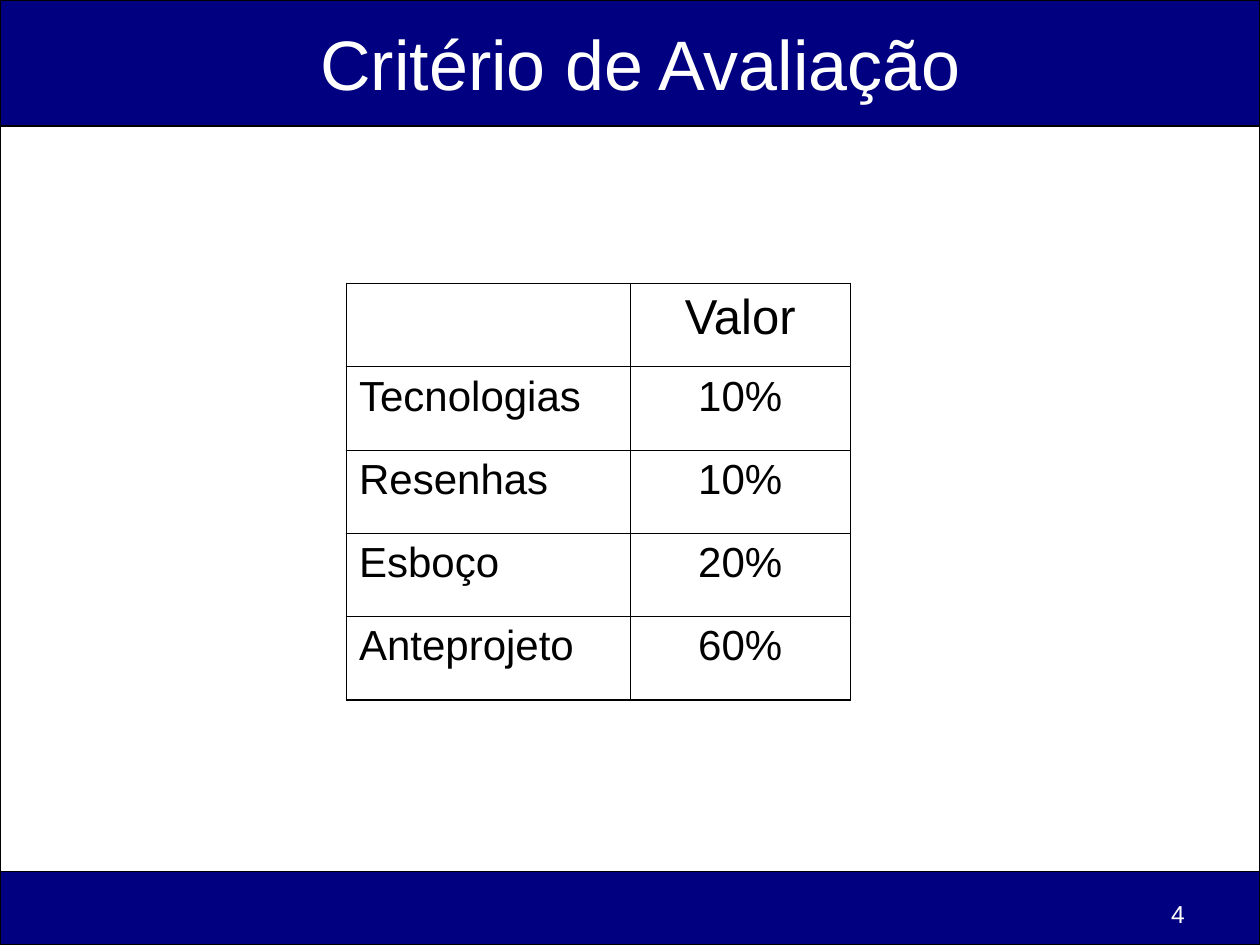
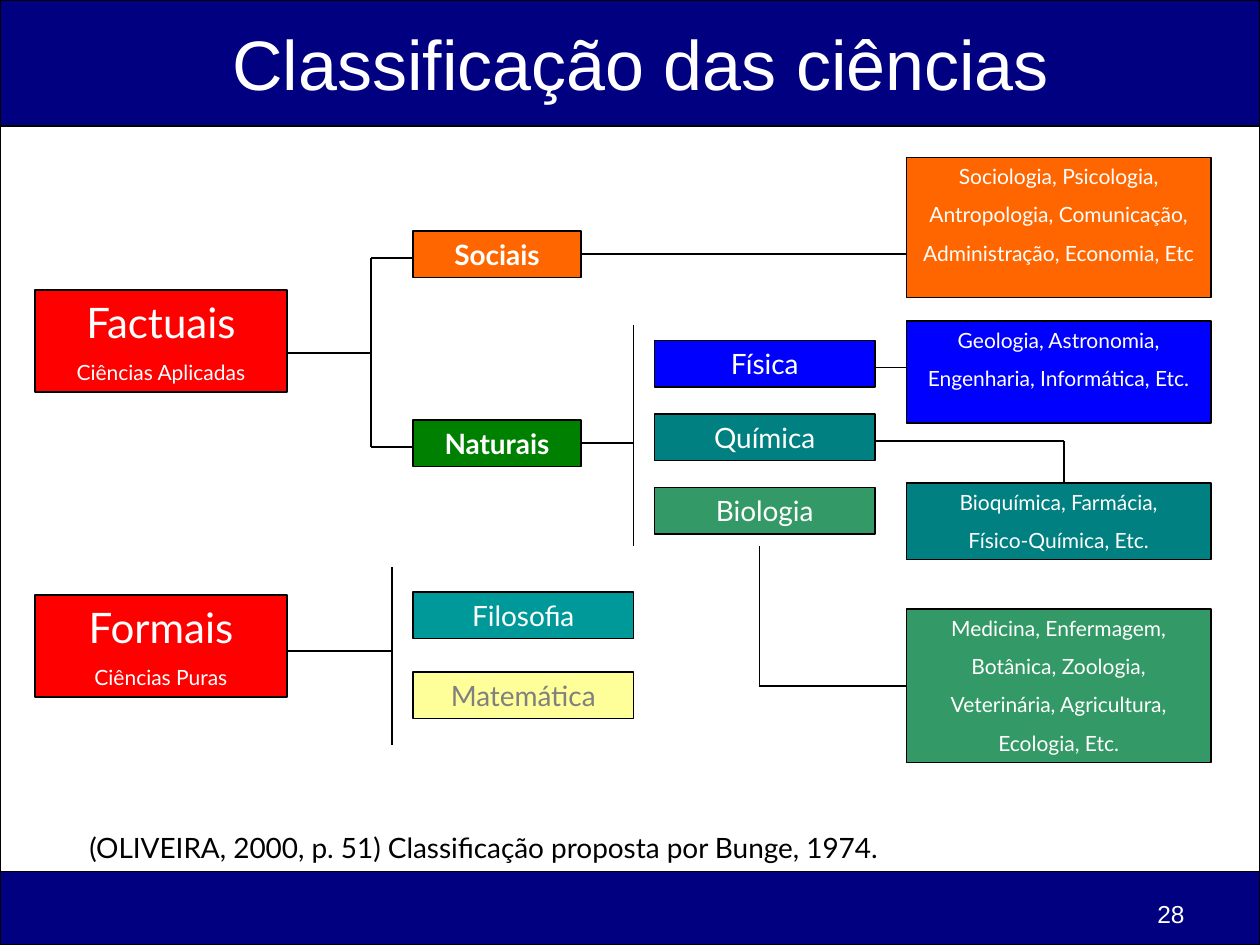
from lxml import etree
from pptx import Presentation
from pptx import util as u
from pptx.dml import color
from pptx.enum import shapes, text
from pptx.oxml import ns

Pt = u.Pt
WIDE, HIGH = 720, 540
NAVY, WHITE, BLACK = "000080", "FFFFFF", "000000"
RED, AMBER, BLUE = "FF0000", "FF6600", "0000FF"
GREEN, TEAL, AQUA, MOSS = "008000", "008080", "009999", "339966"
LEMON, GRAY = "FFFF99", "808080"
HEAD, BODY = "Arial", "Lato"
LEFT, MID, RIGHT = text.PP_ALIGN.LEFT, text.PP_ALIGN.CENTER, text.PP_ALIGN.RIGHT
TOP, CENTER = text.MSO_ANCHOR.TOP, text.MSO_ANCHOR.MIDDLE


def rgb(code):
    return color.RGBColor.from_string(code)


def write(frame, lines, face, ink, align=MID, bold=False, gap=0):
    """Fill a text frame; each line is a (words, size) pair."""
    for i, (words, size) in enumerate(lines):
        para = frame.add_paragraph() if i else frame.paragraphs[0]
        para.text = words
        para.alignment = align
        if i:
            para.space_before = Pt(gap)
        font = para.font
        font.name, font.size, font.bold = face, Pt(size), bold
        font.color.rgb = rgb(ink)


def rect(slide, box, fill):
    shape = slide.shapes.add_shape(shapes.MSO_SHAPE.RECTANGLE, *map(Pt, box))
    shape.shadow.inherit = False
    shape.fill.solid()
    shape.fill.fore_color.rgb = rgb(fill)
    shape.line.color.rgb = rgb(BLACK)
    shape.line.width = Pt(1)
    return shape


def label(slide, box, words, size, face, ink, align=MID, anchor=TOP):
    frame = slide.shapes.add_textbox(*map(Pt, box)).text_frame
    frame.word_wrap = True
    frame.vertical_anchor = anchor
    write(frame, [(words, size)], face, ink, align)


def base(deck, title, page):
    """Start a slide with its bands, title and page number."""
    slide = deck.slides.add_slide(deck.slide_layouts[6])
    head, foot = 72, 498
    rect(slide, (0, head, WIDE, foot - head), WHITE)
    rect(slide, (0, 0, WIDE, head), NAVY)
    rect(slide, (0, foot, WIDE, HIGH - foot), NAVY)
    label(slide, (78, 0, 576, head), title, 40, HEAD, WHITE, anchor=CENTER)
    label(slide, (516, foot + 12, 168, 19.5), str(page), 14, HEAD, WHITE, RIGHT)
    return slide


# Grade table

def edge(cell, side, width):
    line = etree.SubElement(cell._tc.get_or_add_tcPr(), ns.qn("a:ln" + side),
                            w=str(Pt(width)))
    fill = etree.SubElement(line, ns.qn("a:solidFill"))
    etree.SubElement(fill, ns.qn("a:srgbClr"), val=BLACK)


def grades(slide, box, cols, rows):
    table = slide.shapes.add_table(len(rows), len(cols), *map(Pt, box)).table
    table.first_row = table.horz_banding = False
    for col, width in zip(table.columns, cols):
        col.width = Pt(width)
    last, end = len(rows) - 1, len(cols) - 1
    for r, row in enumerate(rows):
        table.rows[r].height = Pt(box[3] / len(rows))
        for c, words in enumerate(row):
            cell = table.cell(r, c)
            outer = {"L": c == 0, "R": c == end, "T": r == 0, "B": r == last}
            for side, out in outer.items():
                edge(cell, side, 1.08 if out else 0.45)
            cell.fill.background()
            write(cell.text_frame, [(words, 24 if r else 28)], HEAD, BLACK,
                  MID if c else LEFT)


# Tree of sciences

def wire(slide, *points):
    """Join successive points with straight lines; return the last line."""
    for start, stop in zip(points, points[1:]):
        line = slide.shapes.add_connector(
            shapes.MSO_CONNECTOR.STRAIGHT, *map(Pt, start + stop))
        line.line.color.rgb = rgb(BLACK)
        line.line.width = Pt(1)
        etree.SubElement(line._element.spPr, ns.qn("a:effectLst"))
    return line


def tree(slide, box):
    left, top = box[:2]
    small = 26.6
    roots, kinds, fields, jobs = 0, 216, 354, 498  # column offsets

    def at(x, y):
        return left + x, top + y

    def node(x, y, w, h, fill, lines, ink=WHITE, bold=False):
        shape = rect(slide, (*at(x, y), w, h), fill)
        shape.text_frame.vertical_anchor = TOP
        write(shape.text_frame, lines, BODY, ink, bold=bold, gap=7.5)
        return shape

    def path(*points):
        return wire(slide, *(at(*p) for p in points))

    def middle(shape):
        return (shape.top + shape.height / 2) / Pt(1) - top

    # Roots
    for y, name, note in ((75.6, "Factuais", "Ciências Aplicadas"),
                          (250, "Formais", "Ciências Puras")):
        node(roots, y, 144, 58.3, RED, [(name, 24), (note, 12)])

    # Kinds of factual science
    social, nature = (
        node(kinds, y, 96, small, fill, [(name, 16)], bold=True)
        for y, fill, name in ((42, AMBER, "Sociais"), (150, GREEN, "Naturais")))

    # Formal sciences
    node(kinds, 248.4, 126, small, AQUA, [("Filosofia", 16)])
    node(kinds, 294, 126, small, LEMON, [("Matemática", 16)], GRAY)

    # Natural sciences
    for i, (fill, name) in enumerate(
            ((BLUE, "Física"), (TEAL, "Química"), (MOSS, "Biologia"))):
        node(fields, 104.6 + 42 * i, 126, small, fill, [(name, 16)])

    # Subjects
    groups = (
        (0, 80, AMBER, ("Sociologia, Psicologia,", "Antropologia, Comunicação,",
                        "Administração, Economia, Etc")),
        (93.5, 58.3, BLUE, ("Geologia, Astronomia,",
                            "Engenharia, Informática, Etc.")),
        (186, 43.7, TEAL, ("Bioquímica, Farmácia,", "Físico-Química, Etc.")),
        (258, 87.7, MOSS, ("Medicina, Enfermagem,", "Botânica, Zoologia,",
                           "Veterinária, Agricultura,", "Ecologia, Etc.")))
    for y, h, fill, lines in groups:
        life = node(jobs, y, 174, h, fill, [(words, 12) for words in lines])

    # Brackets
    path((144, 111.6), (192, 111.6))
    path((kinds, 57.6), (192, 57.6), (192, 165.6), (kinds, 165.6))
    path((144, 282), (204, 282))
    path((204, 234), (204, 336))
    path((342, 96), (342, 222))

    # Links to subjects
    path((480, 120), (jobs, 120))
    path((480, 162), (588, 162), (588, 186))
    for shape, stop in ((social, jobs), (nature, 342)):
        y = middle(shape)
        path((312, y), (stop, y)).begin_connect(shape, 3)
    y = middle(life)
    path((414, 222), (414, y), (jobs, y)).end_connect(life, 1)


def main():
    deck = Presentation()
    deck.slide_width, deck.slide_height = Pt(WIDE), Pt(HIGH)

    slide = base(deck, "Critério de Avaliação", 4)
    grades(slide, (198, 162, 288, 238), (162, 126), (
        ("", "Valor"), ("Tecnologias", "10%"), ("Resenhas", "10%"),
        ("Esboço", "20%"), ("Anteprojeto", "60%")))

    slide = base(deck, "Classificação das ciências", 28)
    tree(slide, (20, 90, 672, 346))
    label(slide, (44, 471, 478, 46),
          "(OLIVEIRA, 2000, p. 51) Classificação proposta por Bunge, 1974.",
          16, BODY, BLACK, LEFT)
    deck.save("out.pptx")


if __name__ == "__main__":
    main()
